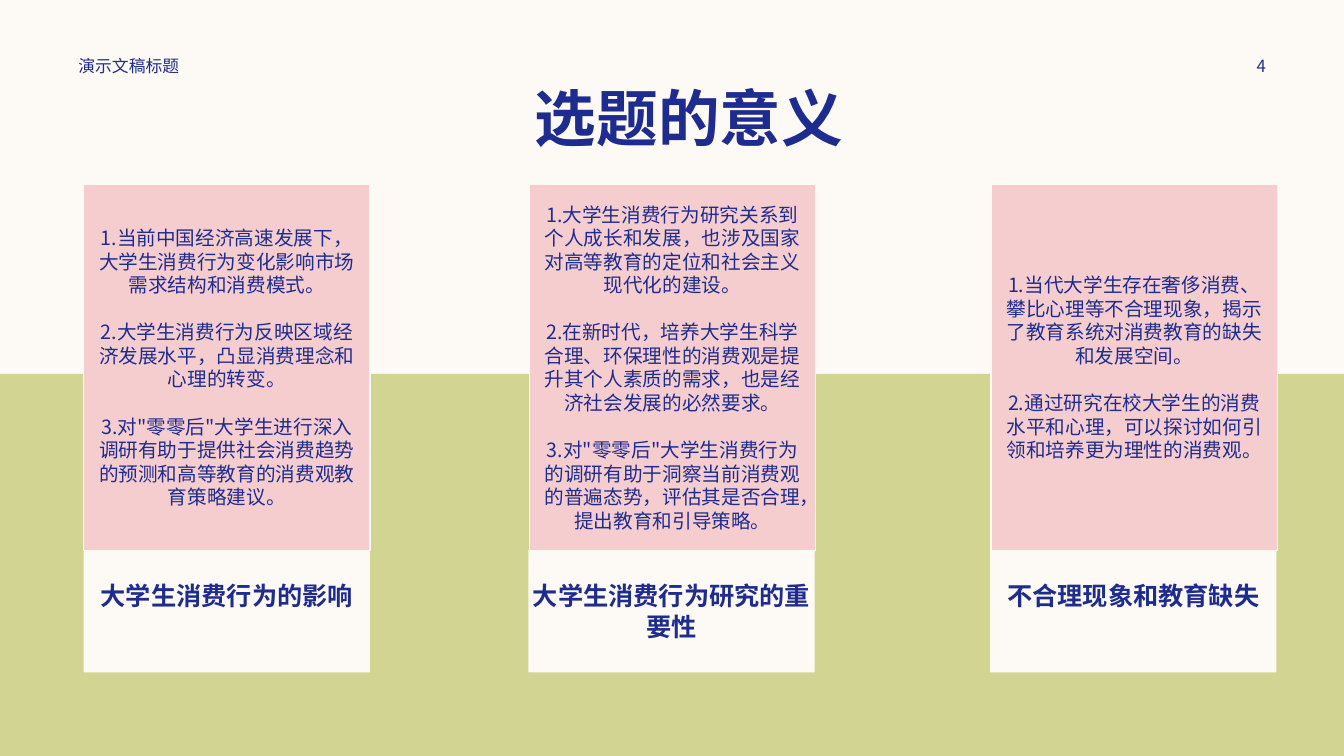
from pptx import Presentation
from pptx import util as u
from pptx.dml.color import RGBColor
from pptx.enum import shapes, text
from pptx.oxml.ns import qn
from lxml import etree

FONT = "Noto Sans CJK SC"
COLORS = {"cream": "FDFAF6", "green": "D2D592", "pink": "F5CDCE", "navy": "1F2C8F"}
CARD_W = 2.84
COLUMNS = [
    (0.83, 0.83, "大学生消费行为的影响", [
        "1.当前中国经济高速发展下，大学生消费行为变化影响市场需求结构和消费模式。",
        "2.大学生消费行为反映区域经济发展水平，凸显消费理念和心理的转变。",
        "3.对\"零零后\"大学生进行深入调研有助于提供社会消费趋势的预测和高等教育的消费观教育策略建议。",
    ]),
    (5.24, 5.25, "大学生消费行为研究的重要性", [
        "1.大学生消费行为研究关系到个人成长和发展，也涉及国家对高等教育的定位和社会主义现代化的建设。",
        "2.在新时代，培养大学生科学合理、环保理性的消费观是提升其个人素质的需求，也是经济社会发展的必然要求。",
        "3.对\"零零后\"大学生消费行为的调研有助于洞察当前消费观的普遍态势，评估其是否合理，提出教育和引导策略。",
    ]),
    (9.82, 9.83, "不合理现象和教育缺失", [
        "1.当代大学生存在奢侈消费、攀比心理等不合理现象，揭示了教育系统对消费教育的缺失和发展空间。",
        "2.通过研究在校大学生的消费水平和心理，可以探讨如何引领和培养更为理性的消费观。",
    ]),
]


def color(name):
    """Return the named palette colour."""
    return RGBColor.from_string(COLORS[name])


def write(tf, paragraphs, size, bold=False, center=True, middle=True, gap=0):
    """Fill a text frame with evenly spaced paragraphs in the slide font."""
    tf.word_wrap = True
    tf.vertical_anchor = text.MSO_ANCHOR.MIDDLE if middle else text.MSO_ANCHOR.TOP
    tf.text = "\n".join(paragraphs)
    for i, p in enumerate(tf.paragraphs):
        p.alignment = text.PP_ALIGN.CENTER if center else text.PP_ALIGN.LEFT
        p.line_spacing = u.Pt(round(size * 1.2, 1))
        p.space_before = u.Pt(gap if i else 0)
        for r in p.runs:
            r.font.name = FONT
            r.font.size = u.Pt(size)
            r.font.bold = bold
            r.font.color.rgb = color("navy")
            etree.SubElement(r.font._element, qn("a:ea"), typeface=FONT)
            latin = r.font._element.find(qn("a:latin"))
            latin.addnext(r.font._element.find(qn("a:ea")))


def add_label(s, x, y, w, h, label, size, **style):
    """Add a line of free-standing text."""
    write(s.shapes.add_textbox(*map(u.Inches, (x, y, w, h))).text_frame, [label], size, **style)


def add_panel(s, x, y, w, h, fill, outline=None):
    """Add a flat rectangle and return its text frame."""
    sp = s.shapes.add_shape(shapes.MSO_SHAPE.RECTANGLE, *map(u.Inches, (x, y, w, h)))
    sp.shadow.inherit = False
    sp.fill.solid()
    sp.fill.fore_color.rgb = color(fill)
    if outline:
        sp.line.color.rgb = color(outline)
        sp.line.width = u.Pt(1)
    else:
        sp.line.fill.background()
    return sp.text_frame


def add_heading(s, x, heading):
    """Add the cream heading panel below a card."""
    tf = add_panel(s, x, 5.46, CARD_W, 1.21, "cream")
    tf.margin_left = tf.margin_right = 0
    tf.margin_top = u.Inches(0.3)
    write(tf, [heading], 18, bold=True, middle=False)


def add_card(s, x, points):
    """Add a pink card holding numbered points."""
    write(add_panel(s, x, 1.83, CARD_W, 3.63, "pink", "cream"), points, 14, gap=16.8)


def main():
    """Build and save the slide."""
    prs = Presentation()
    prs.slide_width, prs.slide_height = u.Inches(13.33), u.Inches(7.5)
    s = prs.slides.add_slide(prs.slide_layouts[6])
    s.background.fill.solid()
    s.background.fill.fore_color.rgb = color("cream")
    add_panel(s, -0.03, 3.71, 13.36, 3.79, "green")
    add_label(s, 1, 0.74, 11.67, 0.84, "选题的意义", 44, bold=True, middle=False)
    add_label(s, 0.68, 0.5, 3.5, 0.3, "演示文稿标题", 12, center=False)
    add_label(s, 11.97, 0.5, 1.08, 0.3, "4", 12)
    for heading_x, card_x, heading, points in COLUMNS:
        add_heading(s, heading_x, heading)
        add_card(s, card_x, points)
    prs.save("out.pptx")


if __name__ == "__main__":
    main()
